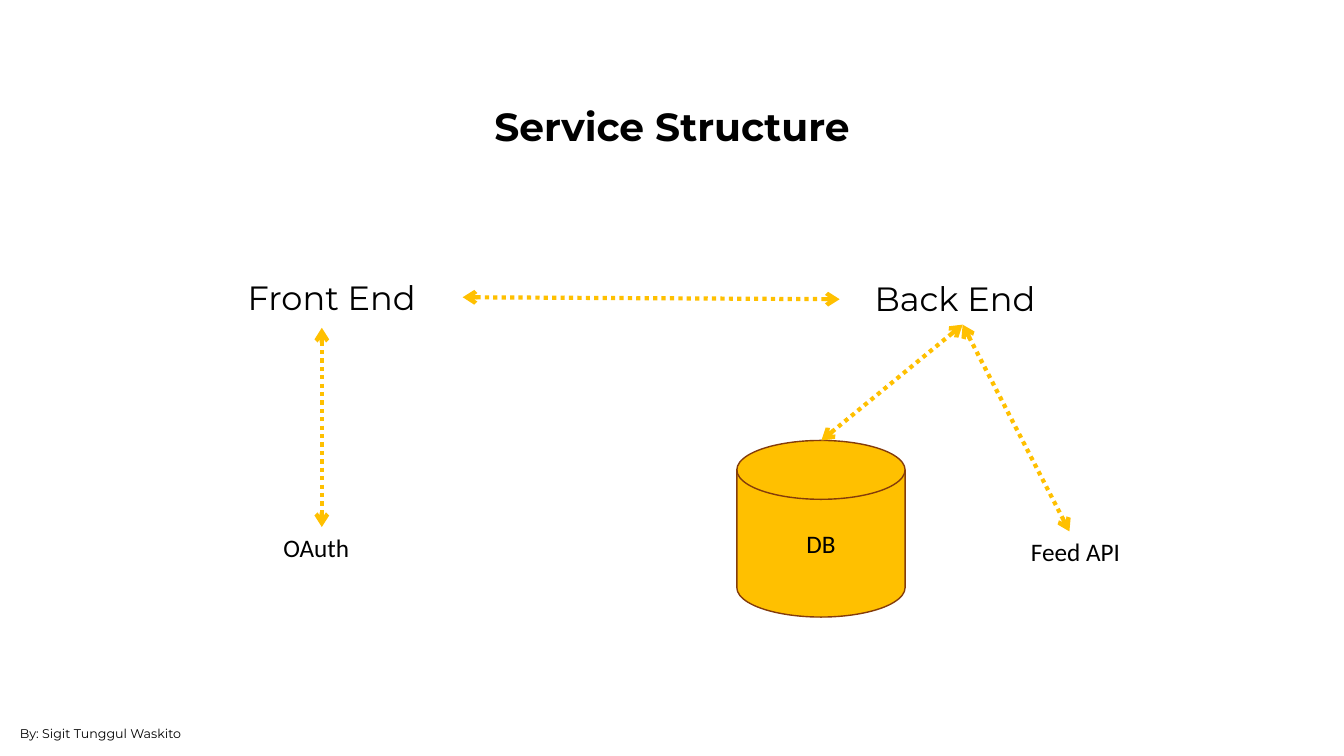
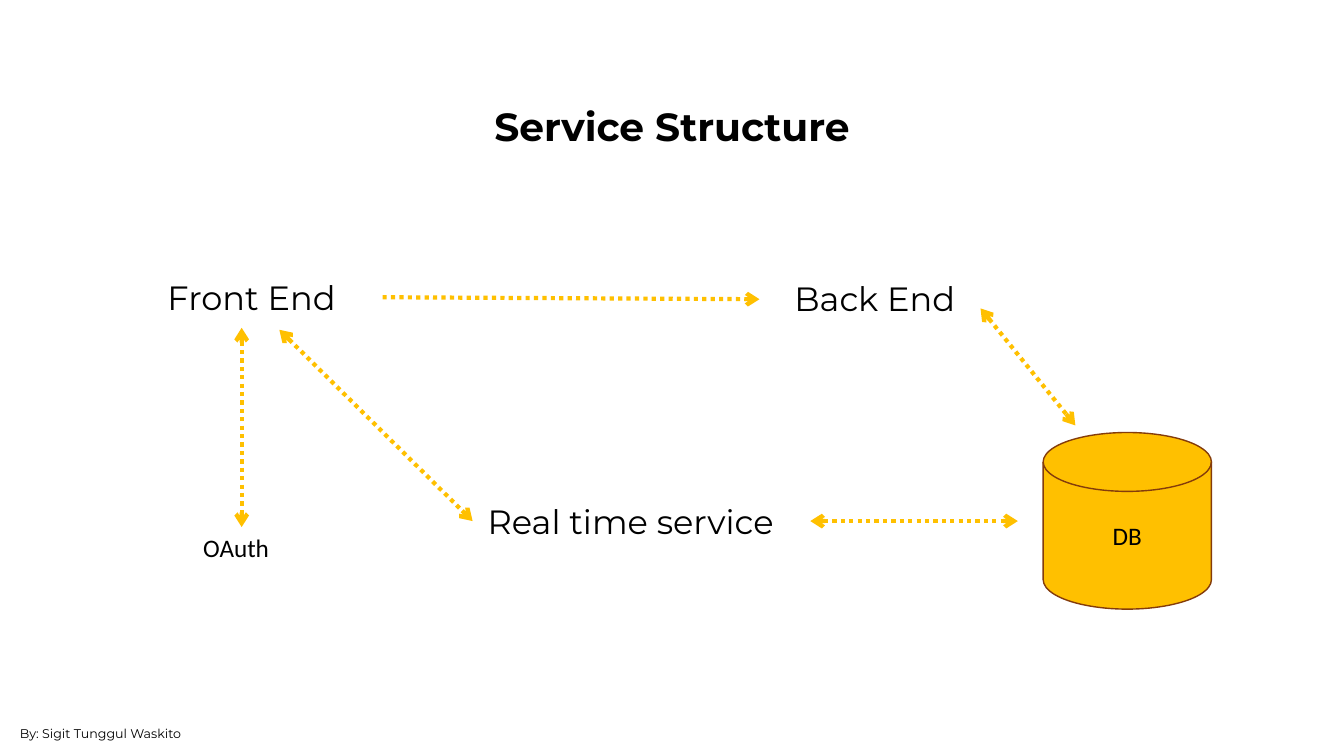
from dataclasses import dataclass

from lxml import etree
from pptx import Presentation
from pptx.dml.color import RGBColor
from pptx.enum import dml, shapes, text
from pptx.oxml.ns import qn
from pptx.presentation import Presentation as Deck
from pptx.slide import Slide
from pptx.text.text import TextFrame
from pptx.util import Cm, Pt

ALIGN = text.PP_ALIGN


@dataclass(frozen=True)
class TextStyle:
    font: str
    size: float
    align: text.PP_ALIGN
    bold: bool = False


@dataclass(frozen=True)
class Theme:
    ink: RGBColor = RGBColor(0x00, 0x00, 0x00)
    accent: RGBColor = RGBColor(0xFF, 0xC0, 0x00)
    outline: RGBColor = RGBColor(0x84, 0x3C, 0x0B)
    title: TextStyle = TextStyle("Montserrat", 28, ALIGN.CENTER, True)
    service: TextStyle = TextStyle("Montserrat", 24, ALIGN.JUSTIFY)
    provider: TextStyle = TextStyle("Calibri", 18, ALIGN.LEFT)
    database: TextStyle = TextStyle("Calibri", 18, ALIGN.CENTER)
    credit: TextStyle = TextStyle("Montserrat", 9, ALIGN.LEFT)


@dataclass(frozen=True)
class Label:
    """A caption; all lengths are centimetres."""
    words: str
    left: float
    top: float
    width: float
    height: float
    style: TextStyle
    wrap: bool = True


@dataclass(frozen=True)
class Arrow:
    """A dotted link; all lengths are centimetres."""
    x1: float
    y1: float
    x2: float
    y2: float
    two_way: bool = True


@dataclass(frozen=True)
class Structure:
    core_left: float
    two_way_core: bool
    database: tuple[float, float]
    labels: tuple[Label, ...]
    arrows: tuple[Arrow, ...]


THEME = Theme()
CREDIT = Label("By: Sigit Tunggul Waskito", 0.25, 18.16, 4.62, 0.64, THEME.credit, False)

STRUCTURES = (
    Structure(
        core_left=5.99,
        two_way_core=True,
        database=(18.57, 11.1),
        labels=(Label("Feed API", 25.73, 13.39, 5.84, 1.02, THEME.provider),),
        arrows=(Arrow(24.26, 8.18, 20.7, 11.1), Arrow(24.26, 8.18, 26.95, 13.39)),
    ),
    Structure(
        core_left=3.97,
        two_way_core=False,
        database=(26.29, 10.9),
        labels=(Label("Real time service", 12.04, 12.5, 8.38, 1.27, THEME.service),),
        arrows=(
            Arrow(7.04, 8.31, 11.91, 13.13),
            Arrow(20.42, 13.13, 25.65, 13.13),
            Arrow(24.71, 7.77, 27.1, 10.72),
        ),
    ),
)


def write(frame: TextFrame, words: str, style: TextStyle) -> None:
    paragraph = frame.paragraphs[0]
    paragraph.alignment = style.align
    run = paragraph.add_run()
    run.text = words
    run.font.name = style.font
    run.font.size = Pt(style.size)
    run.font.bold = style.bold
    run.font.color.rgb = THEME.ink


def add_title(slide: Slide, words: str) -> None:
    title = slide.shapes.title
    title.left, title.top, title.width, title.height = Cm(8.64), Cm(2.46), Cm(16.59), Cm(1.45)
    title.text_frame.vertical_anchor = text.MSO_ANCHOR.TOP
    title.text_frame.auto_size = text.MSO_AUTO_SIZE.SHAPE_TO_FIT_TEXT
    write(title.text_frame, words, THEME.title)


def add_label(slide: Slide, label: Label) -> None:
    box = slide.shapes.add_textbox(
        Cm(label.left), Cm(label.top), Cm(label.width), Cm(label.height))
    box.text_frame.word_wrap = label.wrap
    box.text_frame.auto_size = text.MSO_AUTO_SIZE.SHAPE_TO_FIT_TEXT
    write(box.text_frame, label.words, label.style)


def add_arrow(slide: Slide, arrow: Arrow) -> None:
    link = slide.shapes.add_connector(
        shapes.MSO_CONNECTOR.STRAIGHT,
        Cm(arrow.x1), Cm(arrow.y1), Cm(arrow.x2), Cm(arrow.y2))
    link.line.color.rgb = THEME.accent
    link.line.width = Pt(3)
    link.line.dash_style = dml.MSO_LINE.ROUND_DOT
    outline = link.line._get_or_add_ln()
    for end in ("a:headEnd", "a:tailEnd") if arrow.two_way else ("a:tailEnd",):
        etree.SubElement(outline, qn(end), type="arrow")
    etree.SubElement(link._element.spPr, qn("a:effectLst"))


def add_database(slide: Slide, left: float, top: float) -> None:
    disk = slide.shapes.add_shape(
        shapes.MSO_SHAPE.FLOWCHART_MAGNETIC_DISK, Cm(left), Cm(top), Cm(4.24), Cm(4.45))
    disk.shadow.inherit = False
    disk.fill.solid()
    disk.fill.fore_color.rgb = THEME.accent
    disk.line.color.rgb = THEME.outline
    disk.line.width = Pt(1)
    disk.text_frame.vertical_anchor = text.MSO_ANCHOR.MIDDLE
    write(disk.text_frame, "DB", THEME.database)


def add_core(slide: Slide, left: float, two_way: bool) -> None:
    """Draw the front end, back end and sign-in, which keep their spacing."""
    add_label(slide, Label("Front End", left, 6.86, 5.41, 1.27, THEME.service))
    add_label(slide, Label("Back End", left + 15.8, 6.88, 4.95, 1.27, THEME.service))
    add_label(slide, Label("OAuth", left + 0.9, 13.28, 5.84, 1.02, THEME.provider))
    add_arrow(slide, Arrow(left + 5.67, 7.49, left + 15.17, 7.54, two_way))
    add_arrow(slide, Arrow(left + 2.12, 8.26, left + 2.12, 13.28))


def add_structure(deck: Deck, structure: Structure) -> None:
    slide = deck.slides.add_slide(deck.slide_layouts.get_by_name("Title Only"))
    add_title(slide, "Service Structure")
    add_core(slide, structure.core_left, structure.two_way_core)
    add_database(slide, *structure.database)
    for label in (*structure.labels, CREDIT):
        add_label(slide, label)
    for arrow in structure.arrows:
        add_arrow(slide, arrow)


def main() -> None:
    deck = Presentation()
    deck.slide_width, deck.slide_height = Cm(33.87), Cm(19.05)
    for structure in STRUCTURES:
        add_structure(deck, structure)
    deck.save("out.pptx")


if __name__ == "__main__":
    main()
